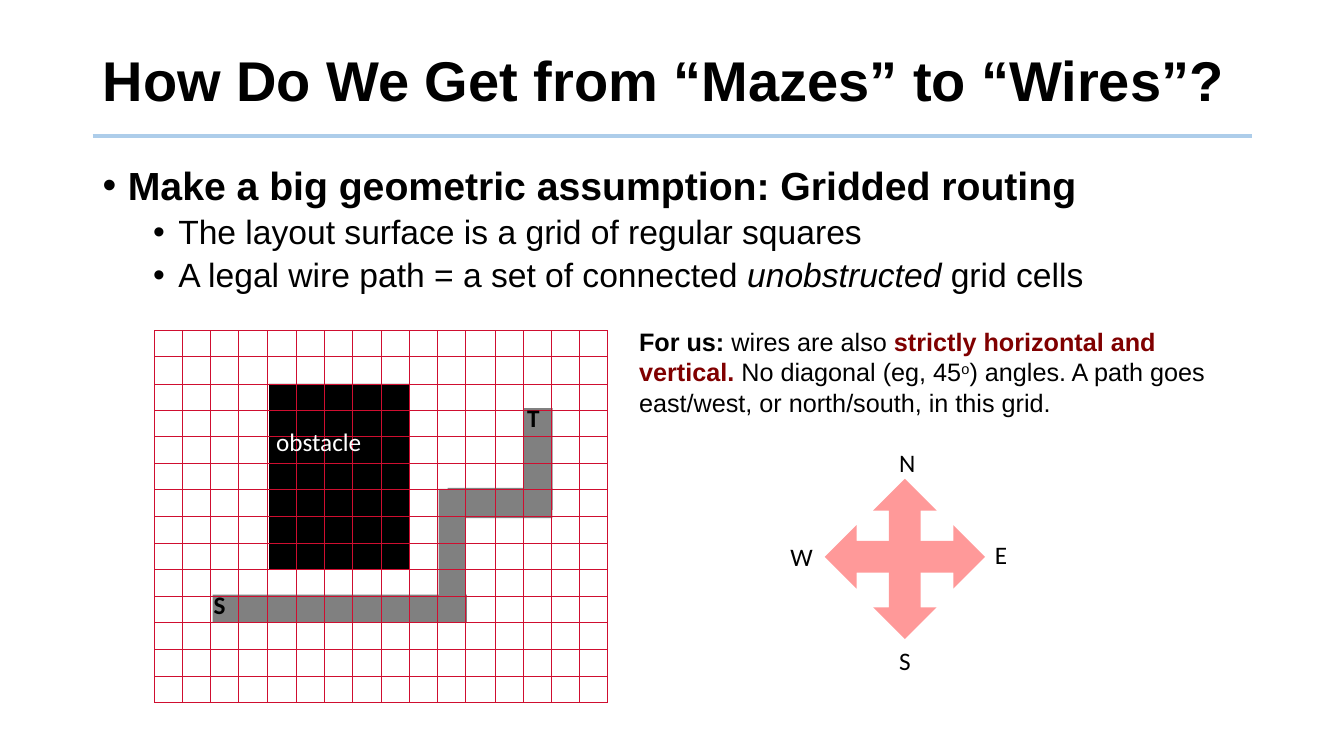
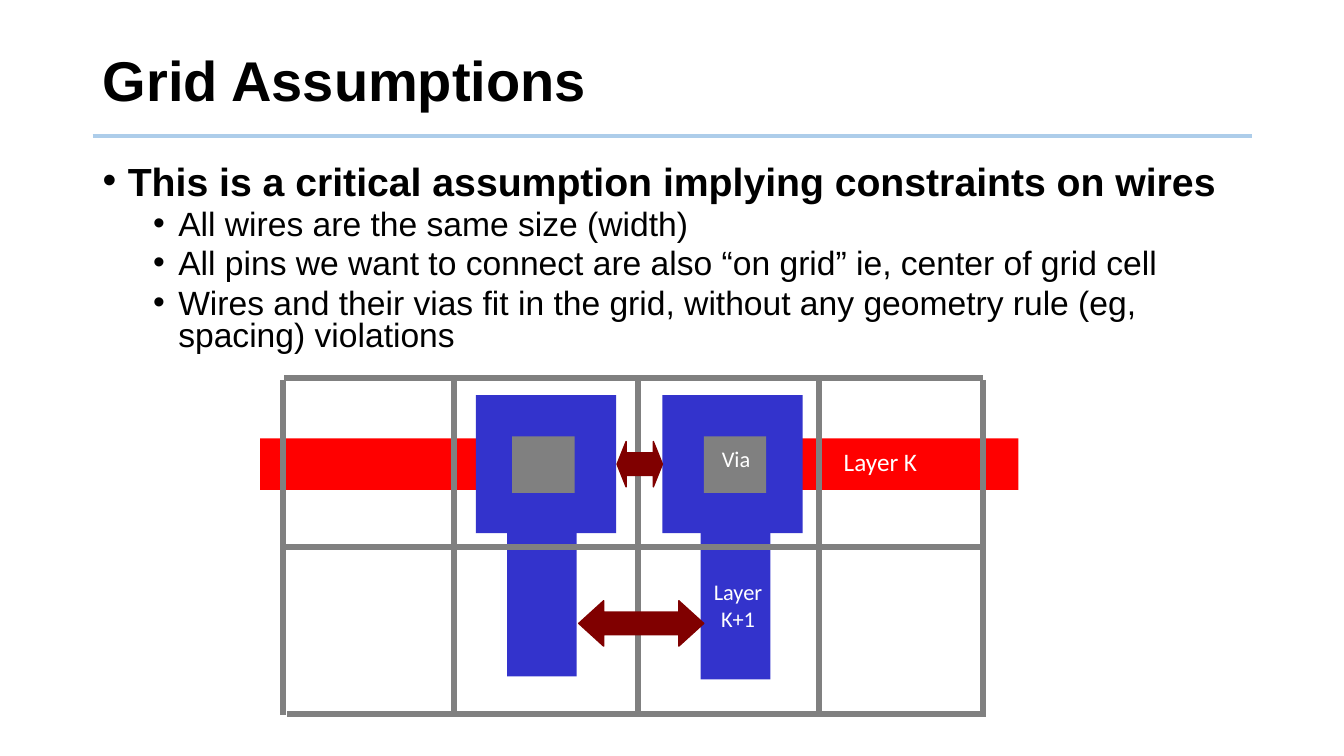
"""Build two slides on gridded routing and its assumptions."""
from lxml import etree
from pptx import Presentation
from pptx.dml.color import RGBColor
from pptx.enum.shapes import MSO_CONNECTOR, MSO_SHAPE
from pptx.enum.text import MSO_ANCHOR, PP_ALIGN
from pptx.oxml.ns import qn
from pptx.util import Emu, Pt

STRAIGHT = MSO_CONNECTOR.STRAIGHT
RECT = MSO_SHAPE.RECTANGLE
UP_DOWN, LEFT_RIGHT = MSO_SHAPE.UP_DOWN_ARROW, MSO_SHAPE.LEFT_RIGHT_ARROW
LEFT, CENTER, MIDDLE = PP_ALIGN.LEFT, PP_ALIGN.CENTER, MSO_ANCHOR.MIDDLE
EMU_PER_PX = 9144
COLORS = {
    "black": "000000", "white": "FFFFFF", "gray": "808080", "rule": "ADCDEA",
    "grid": "CF0E30", "pink": "FF9999", "red": "FF0000", "blue": "3333CC",
    "maroon": "800000",
}
BODY_LEVELS = [
    {"size": 28, "bold": True, "margin": 25, "before": 10},
    {"size": 24, "bold": False, "margin": 75, "before": 5},
]


def px(*values):
    return [Emu(v * EMU_PER_PX) for v in values]


def add_runs(p, runs, font, size, color="black", **base):
    for text, extra in runs:
        r = p.add_run()
        r.text = text
        style = {"name": font, "size": Pt(size), **base, **extra}
        r.font.color.rgb = RGBColor.from_string(COLORS[style.pop("color", color)])
        if style.pop("superscript", False):
            r._r.get_or_add_rPr().set("baseline", "30000")
        for key, value in style.items():
            setattr(r.font, key, value)


COLS, ROWS = 16, 14
maze_x = [153 + round(450 * i / COLS) for i in range(COLS + 1)]
maze_y = [328 + round(369 * j / ROWS) for j in range(ROWS + 1)]
maze_lines = [(x, 328, x, 697) for x in maze_x]
maze_lines += [(153, y, 603, y) for y in maze_y]
cell_lines = [(x, 377, x, 709) for x in (450, 633, 812, 975, 281)]
cell_lines += [(x, y, x + 693, y) for x, y in ((282, 375), (282, 543), (285, 708))]

SLIDES = [
    {
        "title": "How Do We Get from “Mazes” to “Wires”?",
        "spacing": 0.9,
        "body": [
            (0, [("Make a big geometric assumption: Gridded routing", {})]),
            (1, [("The layout surface is a grid of regular squares", {})]),
            (1, [("A legal wire path = a set of connected ", {}),
                 ("unobstructed", {"italic": True}), (" grid cells", {})]),
        ],
        "blocks": [
            (267, 381, 139, 184, "black"), (519, 405, 29, 101, "gray"),
            (444, 484, 104, 30, "gray"), (435, 485, 27, 115, "gray"),
            (211, 590, 252, 27, "gray"),
        ],
        "lines": maze_lines, "line_color": "grid", "line_width": 0.75,
        "arrows": [
            (UP_DOWN, 866, 475, 63, 159, "pink", 0.5, 0),
            (LEFT_RIGHT, 818, 521, 159, 63, "pink", 0.5, 0),
        ],
        "labels": [
            (202, 580, 44, 48, ["S"], 18, "black", True, LEFT),
            (513, 394, 44, 48, ["T"], 18, "black", True, LEFT),
            (264, 418, 135, 48, ["obstacle"], 18, "white", False, LEFT),
            (882, 439, 63, 66, ["N"], 18, "black", False, LEFT),
            (882, 635, 60, 66, ["S"], 18, "black", False, LEFT),
            (977, 530, 60, 66, ["E"], 18, "black", False, LEFT),
            (774, 532, 72, 66, ["W"], 18, "black", False, LEFT),
        ],
        "note": [
            ("For us:", {"bold": True}), (" wires are also ", {}),
            ("strictly horizontal and vertical. ", {"bold": True, "color": "maroon"}),
            ("No diagonal (eg, 45", {}), ("o", {"superscript": True}),
            (") angles. A path goes east/west, or north/south, in this grid.", {}),
        ],
    },
    {
        "title": "Grid Assumptions",
        "spacing": 0.8,
        "body": [
            (0, [("This is a critical assumption implying constraints on wires", {})]),
            (1, [("All wires are the same size (width)", {})]),
            (1, [("All pins we want to connect are also “on grid” ie, "
                  "center of grid cell", {})]),
            (1, [("Wires and their vias fit in the grid, without any geometry "
                  "rule (eg, spacing) violations", {})]),
        ],
        "blocks": [
            (258, 435, 222, 51, "red"), (788, 435, 222, 51, "red"),
            (503, 519, 69, 152, "blue"), (472, 392, 139, 137, "blue"),
            (508, 433, 62, 56, "gray"), (695, 522, 69, 152, "blue"),
            (657, 392, 139, 137, "blue"), (698, 433, 62, 56, "gray"),
        ],
        "lines": cell_lines, "line_color": "gray", "line_width": 4.5,
        "arrows": [
            (LEFT_RIGHT, 612, 438, 45, 45, "maroon", 0.2, 1),
            (LEFT_RIGHT, 574, 596, 124, 45, "maroon", 0.55, 1),
        ],
        "labels": [
            (827, 438, 116, 44, ["Layer K"], 18, "white", False, LEFT),
            (673, 569, 118, 69, ["Layer", "K+1"], 16, "white", False, CENTER),
            (671, 437, 118, 40, ["Via"], 16, "white", False, CENTER),
        ],
        "note": [],
    },
]

prs = Presentation()
prs.slide_width, prs.slide_height = px(1333, 750)

for content in SLIDES:
    s = prs.slides.add_slide(prs.slide_layouts[5])
    title = s.shapes.title
    title.left, title.top, title.width, title.height = px(92, 28, 1150, 110)
    tf = title.text_frame
    tf.word_wrap, tf.vertical_anchor = True, MIDDLE
    p = tf.paragraphs[0]
    p.alignment, p.line_spacing = LEFT, 0.9
    add_runs(p, [(content["title"], {})], "Arial", 40, bold=True)

    tf = s.shapes.add_textbox(*px(92, 160, 1150, 515)).text_frame
    tf.word_wrap = True
    for i, (level, runs) in enumerate(content["body"]):
        fmt = BODY_LEVELS[level]
        p = tf.add_paragraph() if i else tf.paragraphs[0]
        p.level = level
        pPr = p._p.get_or_add_pPr()
        margin, hang = px(fmt["margin"], -25)
        pPr.set("marL", str(margin))
        pPr.set("indent", str(hang))
        etree.SubElement(pPr, qn("a:buFont")).set("typeface", "Arial")
        etree.SubElement(pPr, qn("a:buChar")).set("char", "•")
        p.line_spacing = content["spacing"]
        p.space_before = Pt(fmt["before"] if i else 0)
        add_runs(p, runs, "Arial", fmt["size"], bold=fmt["bold"])

    shapes = [(RECT, *block, None, 0) for block in content["blocks"]]
    lines = [(92, 135, 1242, 135, "rule", 3)]
    lines += [(*ends, content["line_color"], content["line_width"])
              for ends in content["lines"]]
    for layer in (shapes, lines, content["arrows"]):
        if layer is lines:
            for *ends, color, width in lines:
                line = s.shapes.add_connector(STRAIGHT, *px(*ends))
                line.line.color.rgb = RGBColor.from_string(COLORS[color])
                line.line.width = Pt(width)
                etree.SubElement(line._element.spPr, qn("a:effectLst"))
            continue
        for kind, x, y, w, h, color, head, outline in layer:
            sp = s.shapes.add_shape(kind, *px(x, y, w, h))
            sp.shadow.inherit = False
            sp.fill.solid()
            sp.fill.fore_color.rgb = RGBColor.from_string(COLORS[color])
            if outline:
                sp.line.color.rgb = RGBColor.from_string(COLORS[color])
                sp.line.width = Pt(outline)
            else:
                sp.line.fill.background()
            if head:
                sp.adjustments[0] = 0.5
                sp.adjustments[1] = head

    for x, y, w, h, texts, size, color, bold, align in content["labels"]:
        tf = s.shapes.add_textbox(*px(x, y, w, h)).text_frame
        tf.word_wrap = True
        for i, text in enumerate(texts):
            p = tf.add_paragraph() if i else tf.paragraphs[0]
            p.alignment = align
            add_runs(p, [(text, {})], "Calibri", size, color, bold=bold)

    if content["note"]:
        tf = s.shapes.add_textbox(*px(624, 319, 617, 101)).text_frame
        tf.word_wrap = True
        add_runs(tf.paragraphs[0], content["note"], "Arial", 18)

prs.save("out.pptx")
